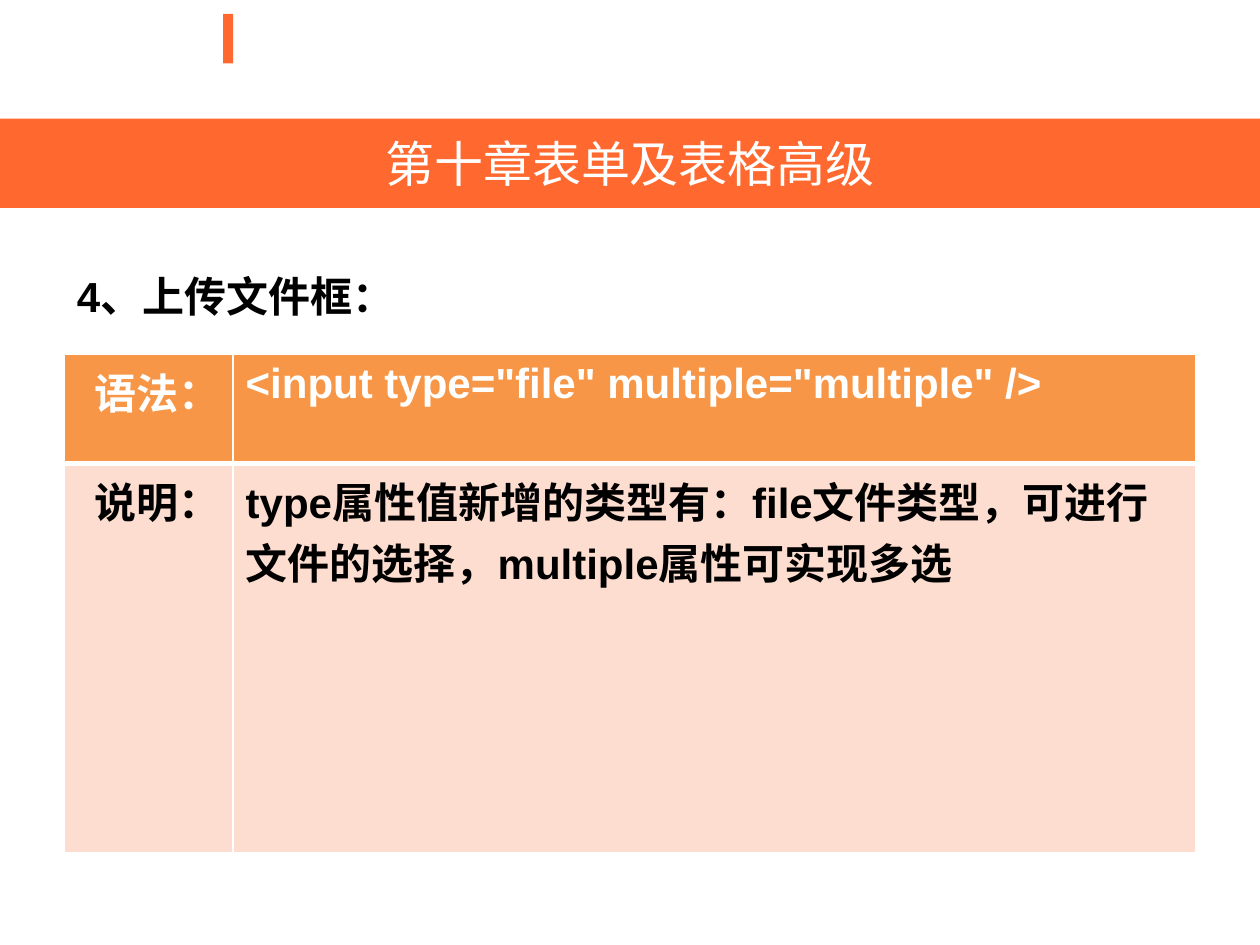
from pptx import Presentation
from pptx import util as u
from pptx.dml.color import RGBColor
from pptx.enum import shapes, text
from pptx.oxml import parse_xml
from pptx.oxml.ns import nsdecls

COLORS = {"accent": "FF682F", "head": "F79646", "body": "FCDDCF",
          "white": "FFFFFF", "black": "000000"}


class Deck:
    """Holds the style and the current slide, and adds each kind of element."""

    font = "Arial"

    def __init__(self, prs):
        self.s = prs.slides.add_slide(prs.slide_layouts[5])

    def fill(self, obj, color):
        obj.fill.solid()
        obj.fill.fore_color.rgb = RGBColor.from_string(COLORS[color])

    def label(self, tf, content, color, size=24, bold=True, align="LEFT"):
        p = tf.paragraphs[0]
        p.alignment = text.PP_ALIGN[align]
        r = p.add_run()
        r.text = content
        for name, value in {"name": self.font, "size": u.Pt(size), "bold": bold}.items():
            setattr(r.font, name, value)
        r.font.color.rgb = RGBColor.from_string(COLORS[color])
        return p

    def title(self, content, *box):
        sp = self.s.shapes.title
        for name, value in zip(("left", "top", "width", "height"), box):
            setattr(sp, name, u.Cm(value))
        self.fill(sp, "accent")
        tf = sp.text_frame
        for name, value in {"auto_size": text.MSO_AUTO_SIZE.NONE, "word_wrap": True,
                            "vertical_anchor": text.MSO_ANCHOR.MIDDLE}.items():
            setattr(tf, name, value)
        self.label(tf, content, "white", 28, False, "CENTER")

    def bar(self, *box):
        sp = self.s.shapes.add_shape(shapes.MSO_SHAPE.RECTANGLE, *map(u.Cm, box))
        sp.shadow.inherit = False
        self.fill(sp, "accent")
        sp.line.fill.background()

    def textbox(self, content, *box):
        tf = self.s.shapes.add_textbox(*map(u.Cm, box)).text_frame
        tf.word_wrap = True
        self.label(tf, content, "black").space_before = u.Pt(6)

    def border(self, cell, widths):
        for side, width in zip("LRTB", widths):
            cell._tc.get_or_add_tcPr().append(parse_xml(
                f'<a:ln{side} {nsdecls("a")} w="{u.Pt(width)}"><a:solidFill>'
                f'<a:srgbClr val="{COLORS["white"]}"/></a:solidFill></a:ln{side}>'))

    def table(self, rows, left, top, widths, heights):
        box = map(u.Cm, (left, top, sum(widths), sum(heights)))
        table = self.s.shapes.add_table(len(rows), len(widths), *box).table
        for col, width in zip(table.columns, widths):
            col.width = u.Cm(width)
        styles = (("head", "white", (1, 1, 1, 3)), ("body", "black", (1, 1, 3, 1)))
        for i, (values, (back, color, lines)) in enumerate(zip(rows, styles)):
            table.rows[i].height = u.Cm(heights[i])
            for j, (value, align) in enumerate(zip(values, ("RIGHT", "LEFT"))):
                cell = table.cell(i, j)
                self.border(cell, lines)
                self.fill(cell, back)
                self.label(cell.text_frame, value, color, align=align)


def main():
    prs = Presentation()
    prs.slide_width, prs.slide_height = u.Cm(25.4), u.Cm(19.05)
    deck = Deck(prs)
    deck.bar(4.5, 0.28, 0.2, 1)
    deck.title("第十章表单及表格高级", 0, 2.39, 25.4, 1.8)
    deck.textbox("4、上传文件框：", 1.3, 5.33, 22.86, 12)
    deck.table([("语法：", '<input type="file" multiple="multiple" />'),
                ("说明：", "type属性值新增的类型有：file文件类型，可进行文件的选择，"
                          "multiple属性可实现多选")],
               1.3, 7.14, (3.4, 19.4), (2.2, 7.85))
    prs.save("out.pptx")


if __name__ == "__main__":
    main()
